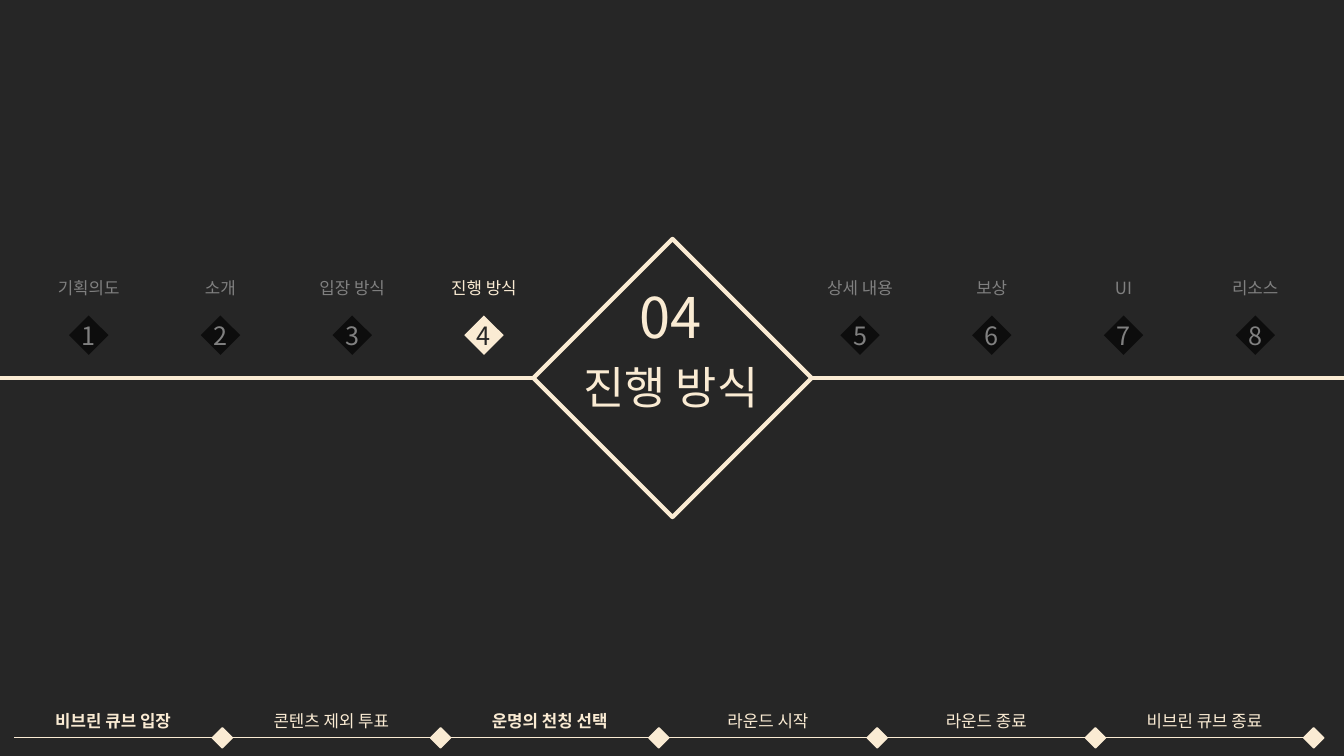
from lxml import etree
from pptx import Presentation
from pptx.dml.color import RGBColor
from pptx.enum.shapes import MSO_CONNECTOR, MSO_SHAPE
from pptx.enum.text import MSO_ANCHOR, PP_ALIGN
from pptx.oxml.ns import qn
from pptx.util import Inches, Pt

CREAM = RGBColor(0xFA, 0xEB, 0xD3)
CHARCOAL = RGBColor(0x26, 0x26, 0x26)
BLACK = RGBColor(0x0D, 0x0D, 0x0D)
GRAY = RGBColor(0x80, 0x80, 0x80)
FONT = "Noto Sans CJK KR"
DIAMOND = MSO_SHAPE.DIAMOND
STRAIGHT = MSO_CONNECTOR.STRAIGHT
CENTER = PP_ALIGN.CENTER
MIDDLE = MSO_ANCHOR.MIDDLE
TOP = MSO_ANCHOR.TOP

SLIDE_WIDTH, SLIDE_HEIGHT = 13.33, 7.5
CHAPTERS_BEFORE = ["기획의도", "소개", "입장 방식", "진행 방식"]
CHAPTERS_AFTER = ["상세 내용", "보상", "UI", "리소스"]
CURRENT_CHAPTER = 4
STAGES = [
    ("비브린 큐브 입장", True),
    ("콘텐츠 제외 투표", False),
    ("운명의 천칭 선택", True),
    ("라운드 시작", False),
    ("라운드 종료", False),
    ("비브린 큐브 종료", False),
]


def write(holder, text, size, color, bold=False, anchor=MIDDLE):
    """Put one centred line of text into a shape."""
    frame = holder.text_frame
    frame_format = {"word_wrap": True, "vertical_anchor": anchor}
    for attribute, value in frame_format.items():
        setattr(frame, attribute, value)
    paragraph = frame.paragraphs[0]
    paragraph.alignment = CENTER
    run = paragraph.add_run()
    run.text = text
    font_format = {"name": FONT, "size": Pt(size), "bold": bold}
    for attribute, value in font_format.items():
        setattr(run.font, attribute, value)
    run.font.color.rgb = color
    east_asian = etree.SubElement(run.font._element, qn("a:ea"))
    east_asian.set("typeface", FONT)


def add_label(slide, box, text, size, color, bold=False, anchor=MIDDLE):
    """Add a text box that fills the given box."""
    label = slide.shapes.add_textbox(*map(Inches, box))
    write(label, text, size, color, bold, anchor)


def add_diamond(slide, left, top, side, fill=None, line_width=0):
    """Add a diamond with an optional fill and cream outline."""
    diamond = slide.shapes.add_shape(DIAMOND, *map(Inches, (left, top, side, side)))
    diamond.shadow.inherit = False
    if fill is None:
        diamond.fill.background()
    else:
        diamond.fill.solid()
        diamond.fill.fore_color.rgb = fill
    if line_width:
        diamond.line.color.rgb = CREAM
        diamond.line.width = Pt(line_width)
    else:
        diamond.line.fill.background()
    return diamond


def add_rule(slide, start, end, y, width):
    """Add a horizontal cream line."""
    rule = slide.shapes.add_connector(STRAIGHT, *map(Inches, (start, y, end, y)))
    rule.line.color.rgb = CREAM
    rule.line.width = Pt(width)
    etree.SubElement(rule._element.spPr, qn("a:effectLst"))


def add_chapters(slide, box, chapters, first_number):
    """Spread numbered chapter markers evenly across the box."""
    left, top, width, height = box
    label_width, label_height, side = 1.2, 0.3, 0.39
    pitch = (width - label_width) / (len(chapters) - 1)
    for index, chapter in enumerate(chapters):
        number = first_number + index
        current = number == CURRENT_CHAPTER
        label_left = left + index * pitch
        add_label(slide, (label_left, top, label_width, label_height),
                  chapter, 12, CREAM if current else GRAY)
        marker = add_diamond(slide, label_left + (label_width - side) / 2,
                             top + height - side, side, CREAM if current else BLACK)
        for margin in ("margin_left", "margin_right", "margin_top", "margin_bottom"):
            setattr(marker.text_frame, margin, 0)
        write(marker, str(number), 18, CHARCOAL if current else GRAY)


def add_title(slide, box):
    """Draw the central diamond, its side rules and the chapter title."""
    left, top, width, height = box
    axis = top + height / 2
    add_rule(slide, 0, left, axis, 3)
    add_rule(slide, left + width, SLIDE_WIDTH, axis, 3)
    add_diamond(slide, left, top, width, line_width=3)
    add_label(slide, (left - 0.82, top + 1.15, 4.37, 0.64),
              CHAPTERS_BEFORE[-1], 32, CREAM)
    add_label(slide, (left + 0.38, top + 0.38, 1.96, 0.77),
              f"{CURRENT_CHAPTER:02}", 40, CREAM, anchor=TOP)


def add_stages(slide, box):
    """Lay the stage timeline along the bottom of the box."""
    left, top, width, height = box
    side, padding = 0.2, 0.09
    pitch = width / len(STAGES)
    axis = top + height - side / 2
    for index, (stage, bold) in enumerate(STAGES):
        start = left + index * pitch
        end = start + pitch - side
        add_rule(slide, start, end, axis, 0.5)
        add_diamond(slide, end, axis - side / 2, side, CREAM, 1)
        add_label(slide, (start + padding, top, end - start - 2 * padding, 0.3),
                  stage, 12, CREAM, bold)


def main():
    """Build and save the chapter divider slide."""
    presentation = Presentation()
    presentation.slide_width = Inches(SLIDE_WIDTH)
    presentation.slide_height = Inches(SLIDE_HEIGHT)
    slide = presentation.slides.add_slide(presentation.slide_layouts[6])
    slide.background.fill.solid()
    slide.background.fill.fore_color.rgb = CHARCOAL
    add_chapters(slide, (0.28, 2.71, 5.12, 0.81), CHAPTERS_BEFORE, 1)
    add_chapters(slide, (7.93, 2.71, 5.12, 0.81), CHAPTERS_AFTER, 5)
    add_title(slide, (5.29, 2.37, 2.76, 2.76))
    add_stages(slide, (0.14, 7, 12.99, 0.42))
    presentation.save("out.pptx")


if __name__ == "__main__":
    main()
